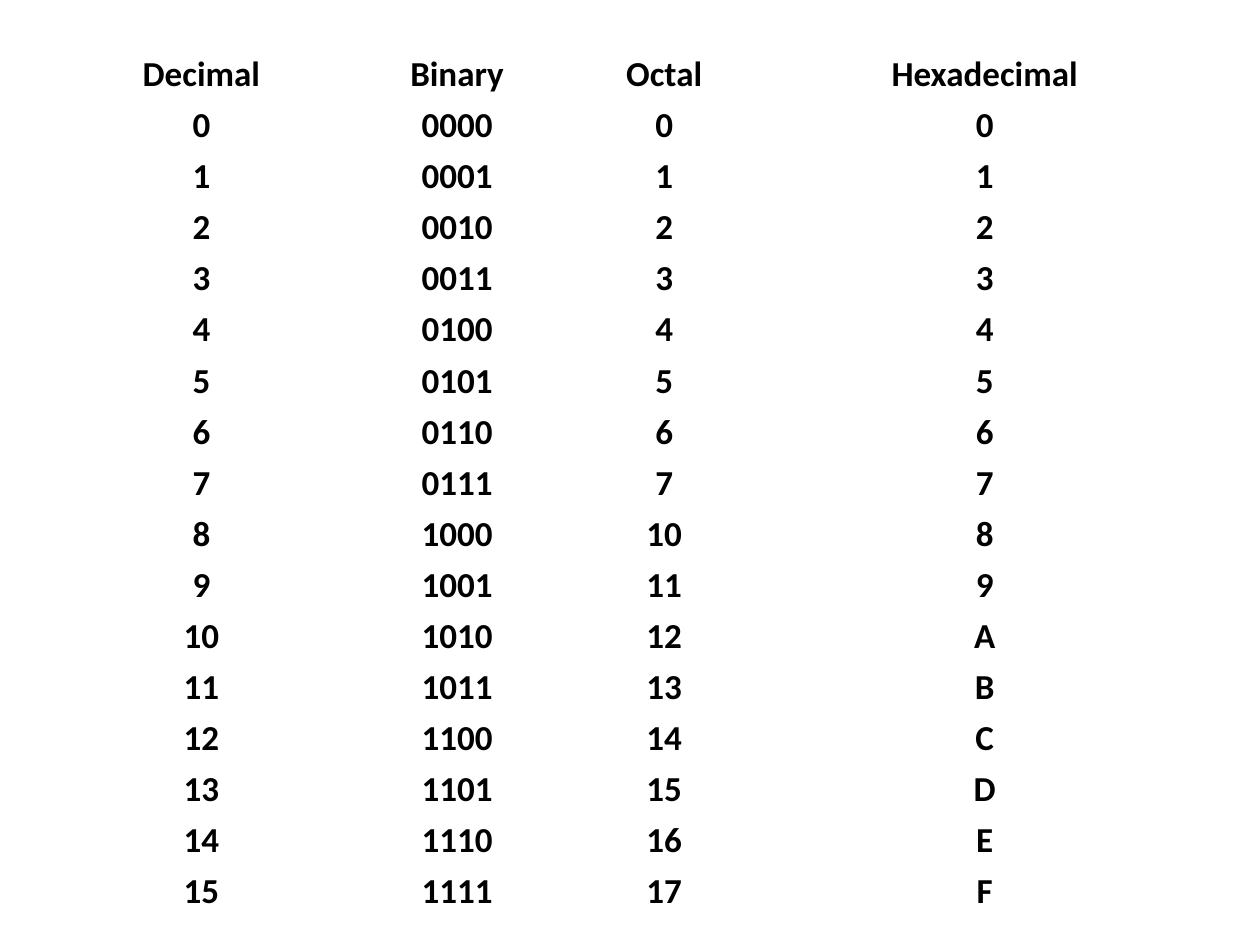
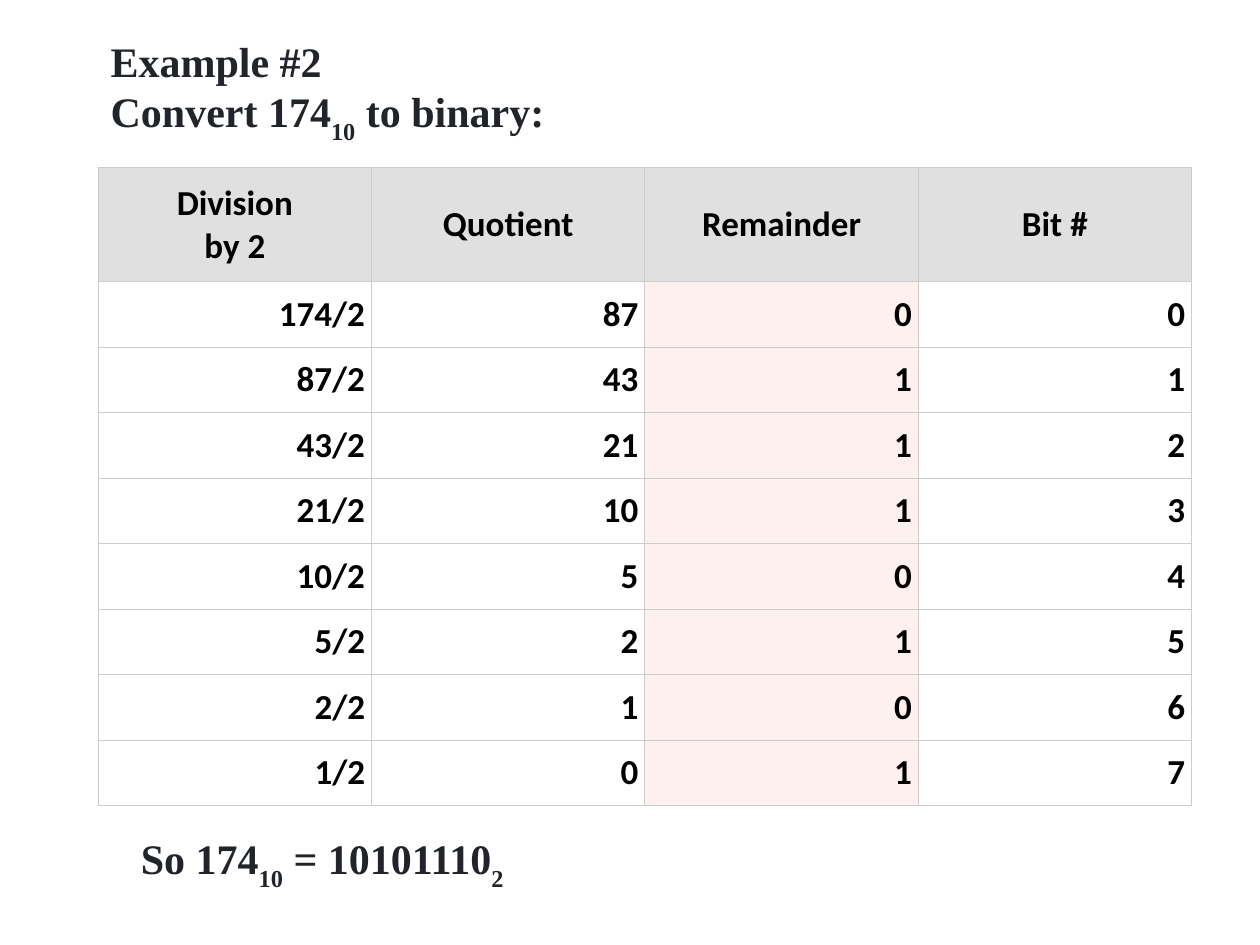
import pptx
import pptx.dml.color
import pptx.enum.shapes
import pptx.enum.text
import pptx.oxml
import pptx.oxml.ns
import pptx.util

Cm = pptx.util.Cm
ALIGN = pptx.enum.text.PP_ALIGN
ANCHOR = pptx.enum.text.MSO_ANCHOR
AUTO_SIZE = pptx.enum.text.MSO_AUTO_SIZE

BLACK, INK, WHITE = "000000", "212529", "FFFFFF"
HEADER_GREY, REMAINDER_PINK, GRID_GREY = "E0E0E0", "FFF0F0", "CCCCCC"
TABLE_FONT, PROSE_FONT = "Calibri", "Times New Roman"
PLAIN_STYLE = "{2D5ABB26-0587-4C30-8999-92F81FD0307C}"


def rgb(color):
    return pptx.dml.color.RGBColor.from_string(color)


def write(frame, text, size=20, font=TABLE_FONT, color=BLACK, align=ALIGN.LEFT, subscripts=False):
    for index, line in enumerate(text.split("\n")):
        paragraph = frame.add_paragraph() if index else frame.paragraphs[0]
        paragraph.alignment = align
        for part, piece in enumerate(line.split("|") if subscripts else [line]):
            run = paragraph.add_run()
            run.text = piece
            run.font.size = pptx.util.Pt(size)
            run.font.name = font
            run.font.bold = True
            run.font.color.rgb = rgb(color)
            if part % 2:
                run.font._element.set("baseline", "-30000")


def set_insets(holder, left, top, right, bottom):
    holder.margin_left, holder.margin_top = Cm(left), Cm(top)
    holder.margin_right, holder.margin_bottom = Cm(right), Cm(bottom)


def outline(cell):
    properties = cell._tc.get_or_add_tcPr()
    for position, side in enumerate(("lnL", "lnR", "lnT", "lnB")):
        border = pptx.oxml.parse_xml(
            f'<a:{side} {pptx.oxml.ns.nsdecls("a")} w="9525"><a:solidFill>'
            f'<a:srgbClr val="{GRID_GREY}"/></a:solidFill></a:{side}>')
        properties.insert(position, border)


def plain_table(slide, left, top, column_widths, row_heights):
    table = slide.shapes.add_table(
        len(row_heights), len(column_widths), Cm(left), Cm(top),
        Cm(sum(column_widths)), Cm(sum(row_heights))).table
    table.first_row = table.horz_banding = False
    table._tbl.tblPr.find(pptx.oxml.ns.qn("a:tableStyleId")).text = PLAIN_STYLE
    for column, width in zip(table.columns, column_widths):
        column.width = Cm(width)
    for row, height in zip(table.rows, row_heights):
        row.height = Cm(height)
    return table


def number_systems(slide, left, top):
    rows = [("Decimal", "Binary", "Octal", "Hexadecimal")]
    rows += [(f"{n}", f"{n:04b}", f"{n:o}", f"{n:X}") for n in range(16)]
    table = plain_table(slide, left, top, [5.74, 4.57, 3.78, 9.14], [1.03] * len(rows))
    for r, values in enumerate(rows):
        for c, value in enumerate(values):
            cell = table.cell(r, c)
            cell.fill.background()
            cell.vertical_anchor = ANCHOR.TOP if r else ANCHOR.MIDDLE
            set_insets(cell, 0.18, 0.08, 0.18, 0.08)
            write(cell.text_frame, value, align=ALIGN.CENTER)


def division_steps(number):
    bit = 0
    while number:
        quotient, remainder = divmod(number, 2)
        yield f"{number}/2", f"{quotient}", f"{remainder}", f"{bit}"
        number, bit = quotient, bit + 1


def division_table(slide, left, top, width, number):
    rows = [("Division\nby 2", "Quotient", "Remainder", "Bit #"), *division_steps(number)]
    table = plain_table(slide, left, top, [width / 4] * 4, [2.3] + [1.32] * (len(rows) - 1))
    for r, values in enumerate(rows):
        for c, value in enumerate(values):
            cell = table.cell(r, c)
            body_fill = REMAINDER_PINK if c == 2 else WHITE
            cell.fill.solid()
            cell.fill.fore_color.rgb = rgb(body_fill if r else HEADER_GREY)
            cell.vertical_anchor = ANCHOR.MIDDLE
            set_insets(cell, 0.13, 0.13, 0.13, 0.13)
            write(cell.text_frame, value, align=ALIGN.RIGHT if r else ALIGN.CENTER)
            outline(cell)


def task_heading(slide, left, top, width, height):
    heading = slide.shapes.add_shape(
        pptx.enum.shapes.MSO_SHAPE.RECTANGLE, Cm(left), Cm(top), Cm(width), Cm(height))
    heading.shadow.inherit = False
    heading.fill.solid()
    heading.fill.fore_color.rgb = rgb(WHITE)
    heading.line.fill.background()
    frame = heading.text_frame
    frame.word_wrap = True
    frame.auto_size = AUTO_SIZE.SHAPE_TO_FIT_TEXT
    frame.vertical_anchor = ANCHOR.MIDDLE
    set_insets(frame, 0.25, 0, 0.25, 0.13)
    write(frame, "Example #2\nConvert 174|10| to binary:",
          size=24, font=PROSE_FONT, color=INK, subscripts=True)


def conclusion(slide, left, top, width, height):
    frame = slide.shapes.add_textbox(Cm(left), Cm(top), Cm(width), Cm(height)).text_frame
    frame.word_wrap = False
    frame.auto_size = AUTO_SIZE.SHAPE_TO_FIT_TEXT
    write(frame, "So 174|10| = 10101110|2",
          size=24, font=PROSE_FONT, color=INK, subscripts=True)


def main():
    deck = pptx.Presentation()
    deck.slide_width, deck.slide_height = Cm(25.4), Cm(19.05)
    blank = deck.slide_layouts[6]

    number_systems(deck.slides.add_slide(blank), 1.19, 0.99)

    example = deck.slides.add_slide(blank)
    division_table(example, 1.98, 3.38, 22.04, 174)
    task_heading(example, 1.98, 0.79, 18.06, 2.18)
    conclusion(example, 2.59, 16.66, 8, 1.27)

    deck.save("out.pptx")


if __name__ == "__main__":
    main()
